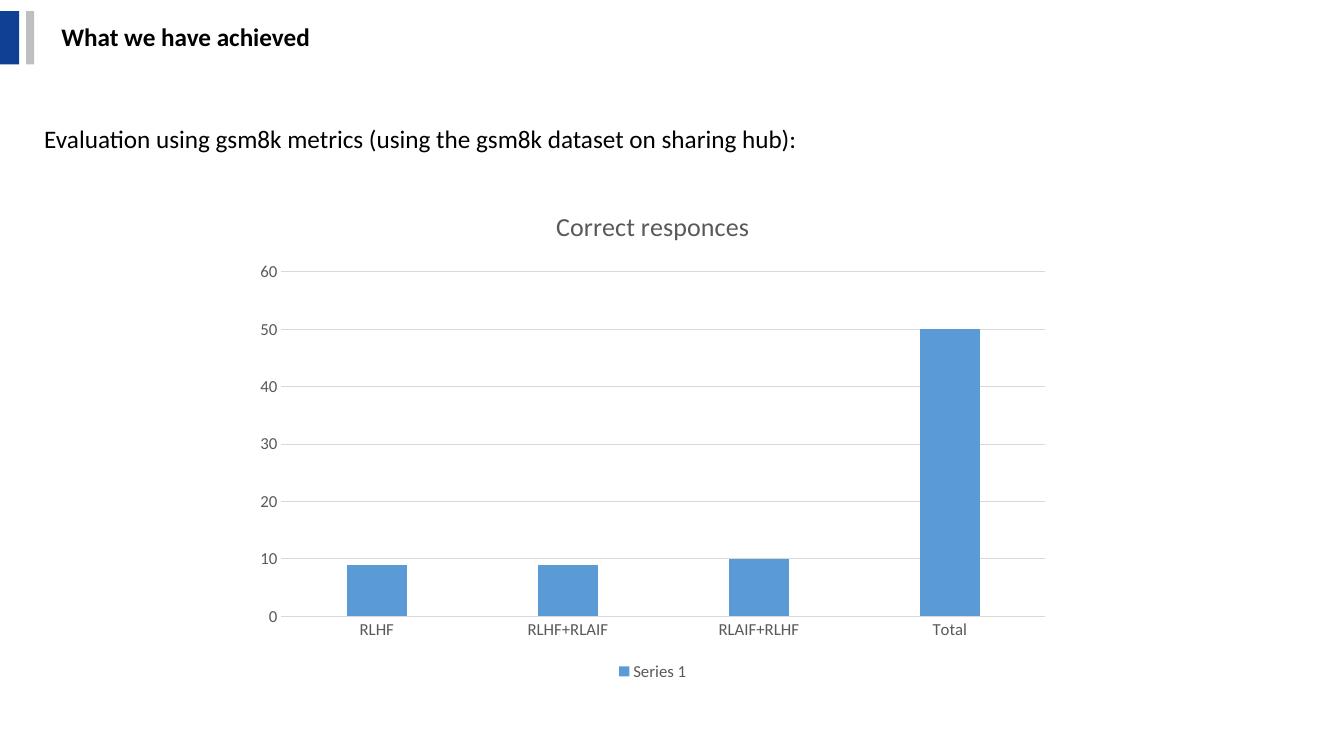
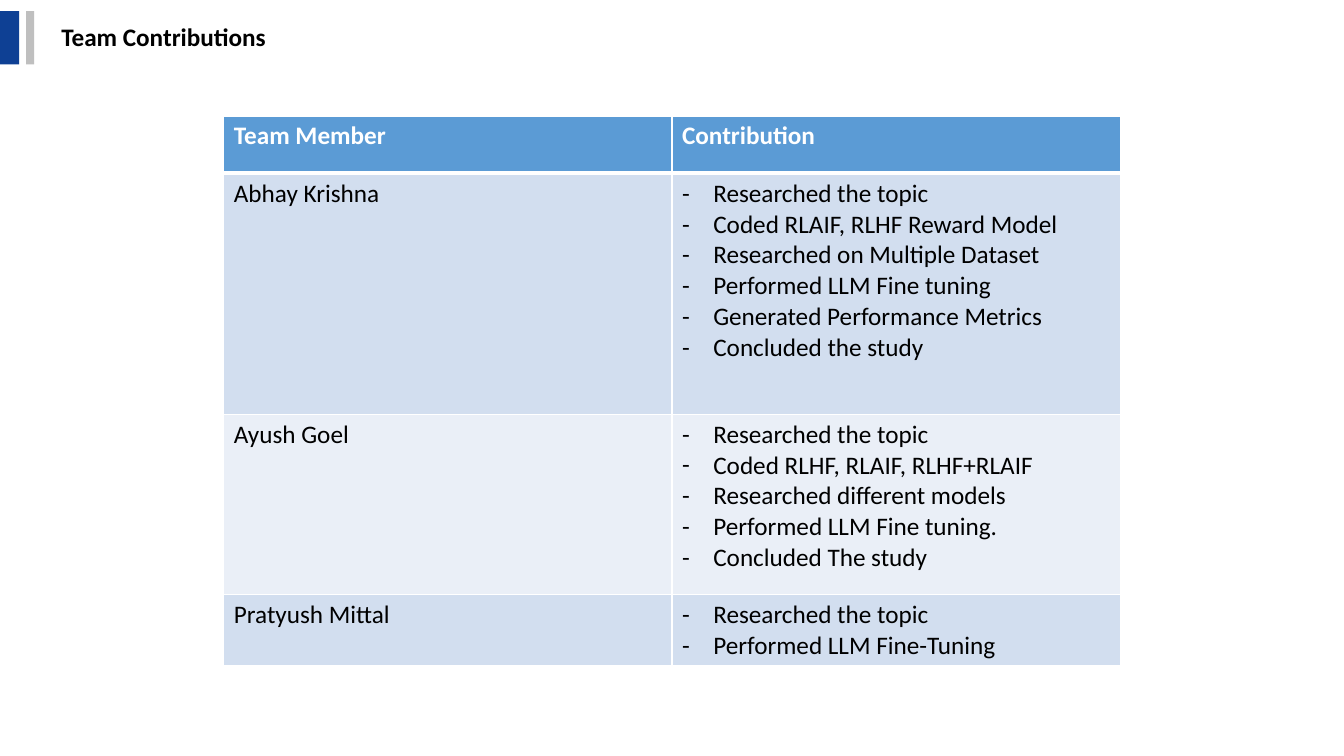
from dataclasses import dataclass

from lxml import etree
from pptx import Presentation
from pptx import util as u
from pptx.chart import data as chart_data
from pptx.dml.color import RGBColor
from pptx.enum import chart as charts, shapes, text
from pptx.oxml import ns


@dataclass(frozen=True)
class Theme:
    font: str = "Calibri"
    ink: str = "000000"
    paper: str = "FFFFFF"
    band: str = "0E4094"
    band_echo: str = "BFBFBF"
    accent: str = "5B9BD5"
    row_tints: tuple = ("D2DEEF", "EAEFF7")
    chart_ink: str = "595959"
    grid: str = "D9D9D9"
    body_size: float = 18
    chart_title_size: float = 18.6
    chart_size: float = 12
    hairline: float = 0.75
    border: float = 1
    header_border: float = 3


class Deck:
    def __init__(self, theme):
        self.theme = theme
        self.prs = Presentation()
        self.prs.slide_width = u.Inches(13.33)
        self.prs.slide_height = u.Inches(7.5)
        self.slide = None

    def place(self, *lengths):
        return [u.Inches(length) for length in lengths]

    def style(self, font, size, color, bold=False):
        font.name = self.theme.font
        font.size = u.Pt(size)
        font.bold = bold
        font.color.rgb = RGBColor.from_string(color)

    def paint(self, fill, color):
        fill.solid()
        fill.fore_color.rgb = RGBColor.from_string(color)

    def add_run(self, paragraph, wording, color=None, bold=False):
        run = paragraph.add_run()
        run.text = wording
        self.style(run.font, self.theme.body_size, color or self.theme.ink, bold)

    def add_slide(self, title):
        self.slide = self.prs.slides.add_slide(self.prs.slide_layouts[6])
        self.add_block(0, 0.11, 0.19, 0.53, self.theme.band)
        self.add_block(0.26, 0.11, 0.08, 0.53, self.theme.band_echo)
        heading = self.add_text(title, 0.51, 0.19, 3.83, 0.38, bold=True)
        heading.vertical_anchor = text.MSO_ANCHOR.MIDDLE
        heading.paragraphs[0].line_spacing = 0.9

    def add_block(self, left, top, width, height, color):
        block = self.slide.shapes.add_shape(
            shapes.MSO_SHAPE.RECTANGLE, *self.place(left, top, width, height))
        block.shadow.inherit = False
        self.paint(block.fill, color)
        block.line.fill.background()

    def add_text(self, wording, left, top, width, height, bold=False):
        frame = self.slide.shapes.add_textbox(
            *self.place(left, top, width, height)).text_frame
        frame.word_wrap = True
        self.add_run(frame.paragraphs[0], wording, bold=bold)
        return frame

    def add_column_chart(self, title, series_name, scores, left, top, width, height):
        theme = self.theme
        data = chart_data.CategoryChartData()
        data.categories = list(scores)
        data.add_series(series_name, list(scores.values()))
        chart = self.slide.shapes.add_chart(
            charts.XL_CHART_TYPE.COLUMN_CLUSTERED,
            *self.place(left, top, width, height), data).chart
        self.style(chart.font, theme.chart_size, theme.chart_ink)

        chart.has_title = True
        run = chart.chart_title.text_frame.paragraphs[0].add_run()
        run.text = title
        self.style(run.font, theme.chart_title_size, theme.chart_ink)
        chart.chart_title.include_in_layout = False

        chart.has_legend = True
        chart.legend.position = charts.XL_LEGEND_POSITION.BOTTOM
        chart.legend.include_in_layout = False
        self.style(chart.legend.font, theme.chart_size, theme.chart_ink)

        plot = chart.plots[0]
        plot.gap_width = 219
        plot.overlap = -27
        plot.vary_by_categories = False
        self.paint(plot.series[0].format.fill, theme.accent)

        categories, values = chart.category_axis, chart.value_axis
        for axis in (categories, values):
            axis.major_tick_mark = charts.XL_TICK_MARK.NONE
            axis.minor_tick_mark = charts.XL_TICK_MARK.NONE
            self.style(axis.tick_labels.font, theme.chart_size, theme.chart_ink)
        values.minimum_scale, values.maximum_scale, values.major_unit = 0, 60, 10
        values.has_major_gridlines = True
        values.format.line.fill.background()
        for line in (categories.format.line, values.major_gridlines.format.line):
            line.color.rgb = RGBColor.from_string(theme.grid)
            line.width = u.Pt(theme.hairline)

    def add_border(self, cell, thick_side=None):
        properties = cell._tc.get_or_add_tcPr()
        for position, side in enumerate("LRTB"):
            width = self.theme.header_border if side == thick_side else self.theme.border
            line = etree.Element(ns.qn(f"a:ln{side}"), w=str(u.Pt(width)))
            fill = etree.SubElement(line, ns.qn("a:solidFill"))
            etree.SubElement(fill, ns.qn("a:srgbClr"), val=self.theme.paper)
            properties.insert(position, line)

    def add_dash(self, paragraph):
        indent = u.Inches(0.31)
        properties = paragraph._p.get_or_add_pPr()
        properties.set("marL", str(indent))
        properties.set("indent", str(-indent))
        etree.SubElement(properties, ns.qn("a:buFont"), typeface=self.theme.font)
        etree.SubElement(properties, ns.qn("a:buChar"), char="-")

    def fill_cell(self, cell, lines, fill, color=None, bold=False,
                  dashed=False, thick_side=None):
        self.paint(cell.fill, fill)
        self.add_border(cell, thick_side)
        frame = cell.text_frame
        for index, line in enumerate(lines):
            paragraph = frame.add_paragraph() if index else frame.paragraphs[0]
            if dashed:
                self.add_dash(paragraph)
            self.add_run(paragraph, line, color, bold)

    def add_table(self, headers, members, left, top, width, row_heights):
        theme = self.theme
        table = self.slide.shapes.add_table(
            len(row_heights), len(headers),
            *self.place(left, top, width, sum(row_heights))).table
        for row, height in zip(table.rows, row_heights):
            row.height = u.Inches(height)
        for column, header in enumerate(headers):
            self.fill_cell(table.cell(0, column), [header], theme.accent,
                           theme.paper, bold=True, thick_side="B")
        for row, (member, tasks) in enumerate(members.items(), 1):
            tint = theme.row_tints[(row - 1) % 2]
            edge = "T" if row == 1 else None
            self.fill_cell(table.cell(row, 0), [member], tint, thick_side=edge)
            self.fill_cell(table.cell(row, 1), tasks, tint, dashed=True, thick_side=edge)


def main():
    deck = Deck(Theme())

    deck.add_slide("What we have achieved")
    deck.add_text("Evaluation using gsm8k metrics (using the gsm8k dataset on sharing hub):",
                  0.34, 1.17, 7.91, 0.4)
    correct = {"RLHF": 9, "RLHF+RLAIF": 9, "RLAIF+RLHF": 10, "Total": 50}
    deck.add_column_chart("Correct responces", "Series 1", correct,
                          2.42, 1.87, 8.11, 4.93)

    deck.add_slide("Team Contributions")
    contributions = {
        "Abhay Krishna": [
            "Researched the topic",
            "Coded RLAIF, RLHF Reward Model",
            "Researched on Multiple Dataset",
            "Performed LLM Fine tuning",
            "Generated Performance Metrics",
            "Concluded the study",
        ],
        "Ayush Goel": [
            "Researched the topic",
            "Coded RLHF, RLAIF, RLHF+RLAIF",
            "Researched different models",
            "Performed LLM Fine tuning.",
            "Concluded The study",
        ],
        "Pratyush Mittal": [
            "Researched the topic",
            "Performed LLM Fine-Tuning",
        ],
    }
    deck.add_table(["Team Member", "Contribution"], contributions,
                   2.22, 1.15, 8.89, [0.57, 2.39, 1.79, 0.7])

    deck.prs.save("out.pptx")


if __name__ == "__main__":
    main()
